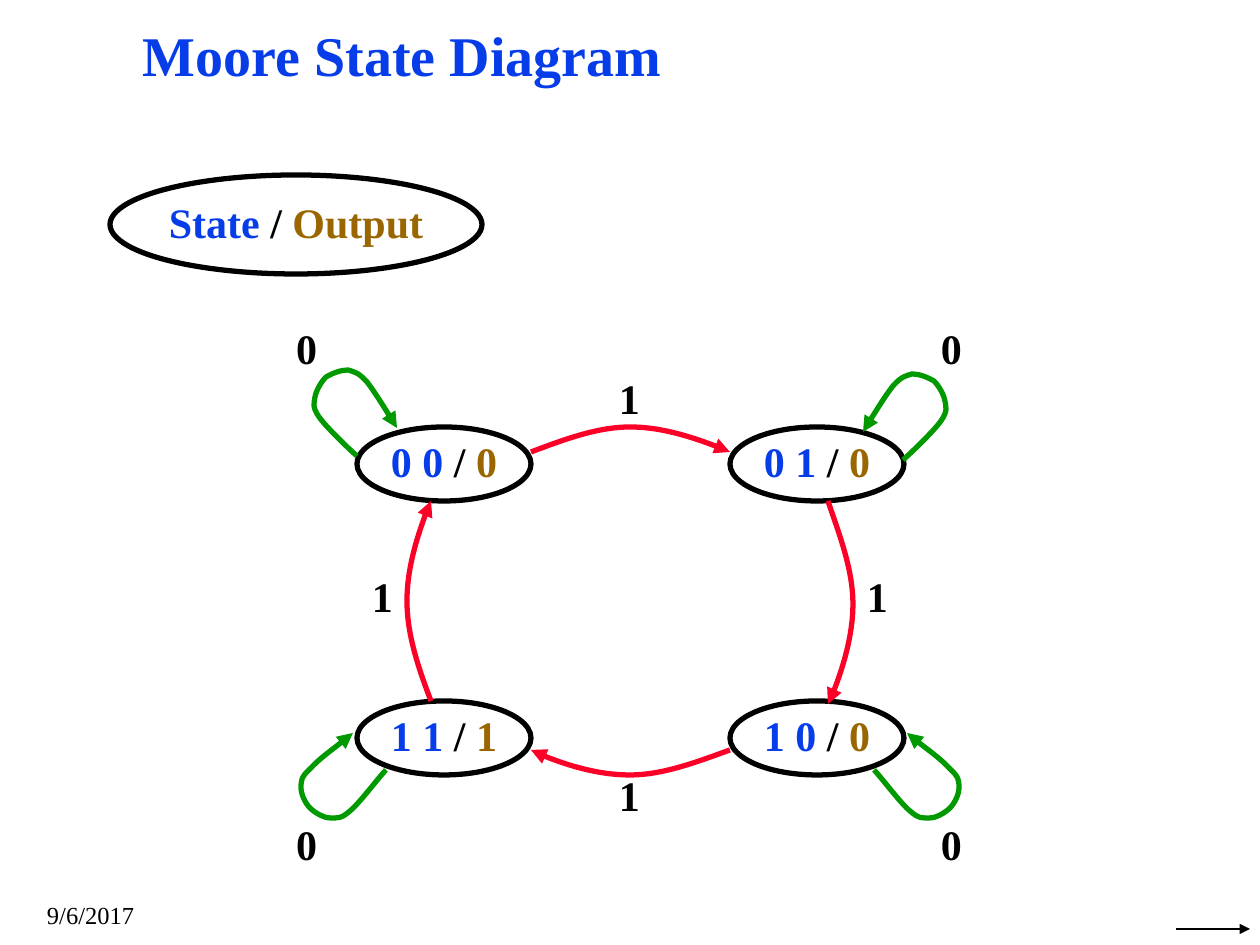
from pptx import Presentation
from pptx import util as u
from pptx.dml.color import RGBColor
from pptx.enum import shapes, text
from pptx.oxml.ns import qn
from lxml import etree

PX = 914400 / 126
WIDTH, HEIGHT = 1260, 945
FONT = "Times New Roman"
BLACK = RGBColor(0, 0, 0)
BLUE = RGBColor(0x06, 0x3D, 0xE8)
BROWN = RGBColor(0x99, 0x66, 0x00)
GREEN = RGBColor(0x00, 0x99, 0x00)
RED = RGBColor(0xFC, 0x01, 0x28)

OVAL_W, OVAL_H = 174, 74
LABEL_W, LABEL_H = 49, 45

STATES = [
    (357, 427, "0 0 ", "0"), (730, 427, "0 1 ", "0"),
    (357, 701, "1 1 ", "1"), (730, 701, "1 0 ", "0"),
]
LABELS = [
    (282, 328, "0"), (927, 328, "0"), (282, 824, "0"), (927, 824, "0"),
    (605, 378, "1"), (605, 775, "1"), (358, 576, "1"), (853, 576, "1"),
]

# Each curve: a start point, then two control points and an end per segment
UPPER_LOOP = [
    (357, 456), (350, 450), (326, 427), (319, 417), (312, 407), (314, 403),
    (315, 397), (316, 391), (321, 382), (326, 377), (333, 373), (341, 370),
    (348, 370), (354, 372), (358, 372), (367, 382), (374, 391), (391, 418),
    (397, 428),
]
LOWER_LOOP = [
    (386, 770), (379, 777), (359, 804), (350, 811), (341, 819), (338, 818),
    (330, 818), (324, 818), (315, 813), (310, 808), (305, 803), (301, 794),
    (301, 788), (301, 781), (301, 777), (310, 769), (319, 759), (344, 741),
    (353, 733),
]
TRANSITIONS = [
    [(531, 452), (563, 440), (597, 427), (630, 427), (663, 427), (713, 444), (730, 452)],
    [(828, 501), (840, 536), (853, 570), (853, 604), (853, 636), (837, 688), (828, 704)],
    [(730, 750), (697, 762), (663, 775), (630, 775), (597, 775), (547, 759), (531, 750)],
    [(431, 701), (418, 667), (407, 634), (407, 601), (407, 568), (423, 518), (431, 501)],
]


def px(n):
    return u.Emu(round(n * PX))


def mirror(points, dy=0):
    return [(WIDTH - x, y + dy) for x, y in points]


def write(tf, runs, size=24, bold=True, align=text.PP_ALIGN.CENTER,
          anchor=text.MSO_ANCHOR.TOP, spacing=0.9, inset=(0, 0)):
    tf.word_wrap = True
    tf.vertical_anchor = anchor
    tf.margin_left = tf.margin_right = px(inset[0])
    tf.margin_top = tf.margin_bottom = px(inset[1])
    p = tf.paragraphs[0]
    p.alignment = align
    p.line_spacing = spacing
    for words, color in runs:
        r = p.add_run()
        r.text = words
        r.font.name = FONT
        r.font.size = u.Pt(size)
        r.font.bold = bold
        r.font.color.rgb = color


def add_text(slide, x, y, w, h, runs, **style):
    sp = slide.shapes.add_textbox(px(x), px(y), px(w), px(h))
    write(sp.text_frame, runs, **style)


def add_oval(slide, x, y, w, h, state, output):
    sp = slide.shapes.add_shape(shapes.MSO_SHAPE.OVAL, px(x), px(y), px(w), px(h))
    sp.shadow.inherit = False
    sp.fill.background()
    sp.line.color.rgb = BLACK
    sp.line.width = u.Pt(3)
    write(sp.text_frame, [(state, BLUE), ("/ ", BLACK), (output, BROWN)],
          anchor=text.MSO_ANCHOR.MIDDLE)


def add_arrowhead(line):
    etree.SubElement(line._get_or_add_ln(), qn("a:tailEnd"), type="triangle")


def add_curve(slide, points, color):
    builder = slide.shapes.build_freeform(*points[0], scale=PX)
    builder.add_line_segments(points[1:], close=False)
    sp = builder.convert_to_shape()
    # Turn every three line steps into one Bezier segment
    path = next(sp._element.iter(qn("a:path")))
    steps = path.findall(qn("a:lnTo"))
    for i in range(0, len(steps), 3):
        curve = etree.SubElement(path, qn("a:cubicBezTo"))
        for step in steps[i:i + 3]:
            curve.append(step[0])
            path.remove(step)
    sp.shadow.inherit = False
    sp.fill.background()
    sp.line.color.rgb = color
    sp.line.width = u.Pt(3)
    add_arrowhead(sp.line)


def add_arrow(slide, x1, y1, x2, y2):
    c = slide.shapes.add_connector(shapes.MSO_CONNECTOR.STRAIGHT,
                                   px(x1), px(y1), px(x2), px(y2))
    c.line.color.rgb = BLACK
    c.line.width = u.Pt(0.75)
    add_arrowhead(c.line)
    etree.SubElement(c._element.spPr, qn("a:effectLst"))


def main():
    prs = Presentation()
    prs.slide_width, prs.slide_height = px(WIDTH), px(HEIGHT)
    slide = prs.slides.add_slide(prs.slide_layouts[6])

    # Title and legend
    add_text(slide, 134, 26, 1091, 66, [("Moore State Diagram", BLUE)], size=32,
             align=text.PP_ALIGN.LEFT, spacing=0.87, inset=(9, 4))
    add_oval(slide, 110, 175, 372, 99, "State ", "Output")

    # States
    for x, y, state, output in STATES:
        add_oval(slide, x, y, OVAL_W, OVAL_H, state, output)

    # Self-loops and transitions
    for loop in (UPPER_LOOP, mirror(UPPER_LOOP, 4), LOWER_LOOP, mirror(LOWER_LOOP)):
        add_curve(slide, loop, GREEN)
    for arc in TRANSITIONS:
        add_curve(slide, arc, RED)

    # Input labels
    for x, y, label in LABELS:
        add_text(slide, x, y, LABEL_W, LABEL_H, [(label, BLACK)])

    # Footer
    add_arrow(slide, 1176, 929, 1250, 929)
    add_text(slide, 34, 895, 348, 40, [("9/6/2017", BLACK)], size=14, bold=False,
             align=text.PP_ALIGN.LEFT, anchor=text.MSO_ANCHOR.BOTTOM,
             spacing=1.0, inset=(13, 6))

    prs.save("out.pptx")


if __name__ == "__main__":
    main()
